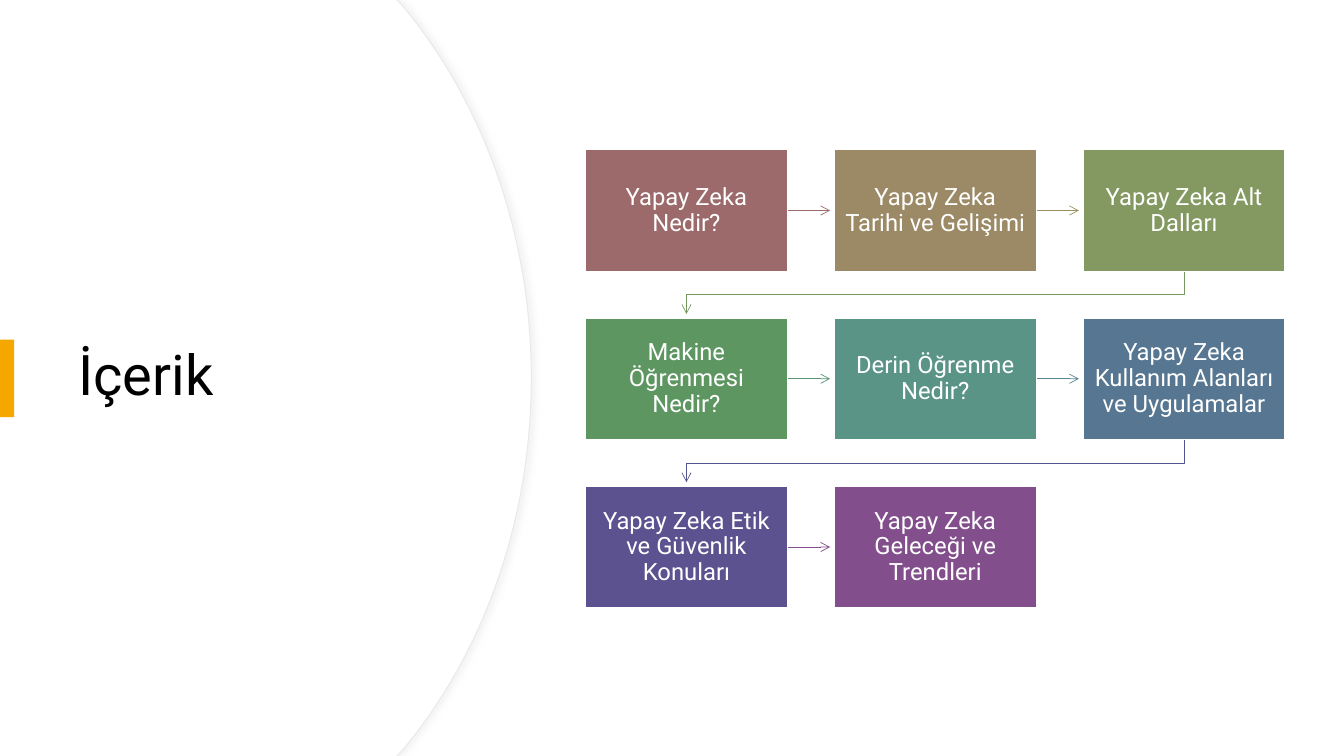
from lxml import etree
from pptx import Presentation
from pptx import util as u
from pptx.dml.color import RGBColor
from pptx.enum import shapes, text
from pptx.oxml.ns import qn

# Content: label, box colour, colour of the arrow leaving the box
TITLE = "İçerik"
TOPICS = [
    ("Yapay Zeka Nedir?", RGBColor(0x9C, 0x6A, 0x6A), RGBColor(0x9C, 0x6A, 0x6A)),
    ("Yapay Zeka Tarihi ve Gelişimi", RGBColor(0x9B, 0x8A, 0x65), RGBColor(0x9B, 0x90, 0x64)),
    ("Yapay Zeka Alt Dalları", RGBColor(0x83, 0x99, 0x61), RGBColor(0x76, 0x98, 0x60)),
    ("Makine Öğrenmesi Nedir?", RGBColor(0x5D, 0x96, 0x61), RGBColor(0x5B, 0x95, 0x74)),
    ("Derin Öğrenme Nedir?", RGBColor(0x5A, 0x94, 0x86), RGBColor(0x57, 0x85, 0x92)),
    ("Yapay Zeka Kullanım Alanları ve Uygulamalar", RGBColor(0x56, 0x76, 0x91),
     RGBColor(0x55, 0x53, 0x8F)),
    ("Yapay Zeka Etik ve Güvenlik Konuları", RGBColor(0x5B, 0x52, 0x8F),
     RGBColor(0x82, 0x4F, 0x8C)),
    ("Yapay Zeka Geleceği ve Trendleri", RGBColor(0x82, 0x4F, 0x8C), None),
]

# Colours and formats
WHITE = RGBColor(0xFF, 0xFF, 0xFF)
BLACK = RGBColor(0, 0, 0)
AMBER = RGBColor(0xF5, 0xA7, 0x00)
PALE_GREY = RGBColor(0xE9, 0xE9, 0xE9)
TITLE_FONT = {"name": "Roboto", "size": u.Pt(40)}
BOX_FONT = {"name": "Roboto", "size": u.Pt(17)}
FRAME = {"word_wrap": True, "vertical_anchor": text.MSO_ANCHOR.MIDDLE}
BOX_FRAME = FRAME | {f"margin_{side}": u.Cm(0.25) for side in ("left", "right", "top", "bottom")}

# Layout in centimetres
SLIDE_WIDTH, SLIDE_HEIGHT = 33.87, 19.05
COLUMNS = 3
BOX_LEFT, BOX_TOP = 14.75, 3.77
BOX_WIDTH, BOX_HEIGHT = 5.1, 3.07
COLUMN_STEP, ROW_STEP = 6.27, 4.24
ARROW_GAP, ARROW_BAND = 0.1, 0.24

presentation = Presentation()
presentation.slide_width = u.Cm(SLIDE_WIDTH)
presentation.slide_height = u.Cm(SLIDE_HEIGHT)
slide = presentation.slides.add_slide(presentation.slide_layouts[6])


def apply(target, values):
    for name, value in values.items():
        setattr(target, name, value)


def write(shape, label, frame, font, colour, alignment):
    apply(shape.text_frame, frame)
    paragraph = shape.text_frame.paragraphs[0]
    paragraph.text = label
    apply(paragraph, {"alignment": alignment, "line_spacing": 0.9})
    apply(paragraph.font, font)
    paragraph.font.color.rgb = colour


def paint(shape, fill, line=None, width=1):
    shape.shadow.inherit = False
    shape.fill.solid()
    shape.fill.fore_color.rgb = fill
    if line is None:
        shape.line.fill.background()
    else:
        shape.line.color.rgb = line
        shape.line.width = u.Pt(width)


def add_rectangle(left, top, width, height):
    return slide.shapes.add_shape(shapes.MSO_SHAPE.RECTANGLE, u.Cm(left), u.Cm(top),
                                  u.Cm(width), u.Cm(height))


def add_outline(points, close):
    first, *rest = [(u.Cm(x), u.Cm(y)) for x, y in points]
    builder = slide.shapes.build_freeform(*first)
    builder.add_line_segments(rest, close=close)
    return builder.convert_to_shape()


def add_panel(right):
    middle = SLIDE_HEIGHT / 2
    upper = [(0, 0), (right - 3.38, 0), (right - 3.2, 0.2), (right - 1.22, 2.6), (right, 5.9)]
    lower = [(x, SLIDE_HEIGHT - y) for x, y in reversed(upper)]
    panel = add_outline(upper + [(right, middle)] + lower, True)
    # The two runs of three points after the shoulder become Bezier curves
    segments = list(panel._element.iter(qn("a:lnTo")))
    for start in (2, 5):
        curve, *others = segments[start:start + 3]
        for segment in others:
            curve.append(segment[0])
            segment.getparent().remove(segment)
        curve.tag = qn("a:cubicBezTo")
    return panel


def add_soft_shadow(shape):
    effects = shape._element.spPr.find(qn("a:effectLst"))
    shadow = etree.SubElement(effects, qn("a:outerShdw"), blurRad=str(u.Pt(4)),
                              dist=str(u.Pt(3)), dir="0", algn="ctr", rotWithShape="0")
    colour = etree.SubElement(shadow, qn("a:srgbClr"), val="D9D9D9")
    etree.SubElement(colour, qn("a:alpha"), val="30000")


def finish_arrow(arrow, colour):
    arrow.shadow.inherit = False
    arrow.fill.background()
    arrow.line.color.rgb = colour
    arrow.line.width = u.Pt(0.5)
    etree.SubElement(arrow.line._get_or_add_ln(), qn("a:tailEnd"), type="arrow")


def add_straight_arrow(left, top, colour):
    middle = top + BOX_HEIGHT / 2
    arrow = add_outline([(left + BOX_WIDTH, middle),
                         (left + COLUMN_STEP - ARROW_GAP, middle)], False)
    # A level line gets a band of its own height, with the line halfway down
    band = u.Cm(ARROW_BAND)
    apply(arrow, {"top": u.Cm(middle) - band // 2, "height": band})
    next(arrow._element.iter(qn("a:path"))).set("h", str(band))
    for point in arrow._element.iter(qn("a:pt")):
        point.set("y", str(band // 2))
    finish_arrow(arrow, colour)


def add_return_arrow(left, top, colour):
    start_x, end_x = left + BOX_WIDTH / 2, BOX_LEFT + BOX_WIDTH / 2
    bottom, next_top = top + BOX_HEIGHT, top + ROW_STEP
    turn = (bottom + next_top) / 2
    arrow = add_outline([(start_x, bottom), (start_x, turn), (end_x, turn),
                         (end_x, next_top - ARROW_GAP)], False)
    finish_arrow(arrow, colour)


# Background and curved title panel
paint(add_rectangle(0, 0, SLIDE_WIDTH, SLIDE_HEIGHT), WHITE)
panel_edge = add_panel(13.39)
paint(panel_edge, WHITE, PALE_GREY, 0.75)
add_soft_shadow(panel_edge)
paint(add_panel(13.36), WHITE)

# Title and accent bar
title = slide.shapes.add_textbox(u.Cm(1.73), u.Cm(3.23), u.Cm(10), u.Cm(12.57))
write(title, TITLE, FRAME, TITLE_FONT, BLACK, text.PP_ALIGN.LEFT)
paint(add_rectangle(0, 8.56, 0.36, 1.95), AMBER)

# Topic boxes, each with the arrow to the next one
for index, (label, fill, arrow_colour) in enumerate(TOPICS):
    row, column = divmod(index, COLUMNS)
    left, top = BOX_LEFT + column * COLUMN_STEP, BOX_TOP + row * ROW_STEP
    if arrow_colour is not None:
        add_arrow = add_return_arrow if column == COLUMNS - 1 else add_straight_arrow
        add_arrow(left, top, arrow_colour)
    box = add_rectangle(left, top, BOX_WIDTH, BOX_HEIGHT)
    paint(box, fill, WHITE)
    write(box, label, BOX_FRAME, BOX_FONT, WHITE, text.PP_ALIGN.CENTER)

presentation.save("out.pptx")
